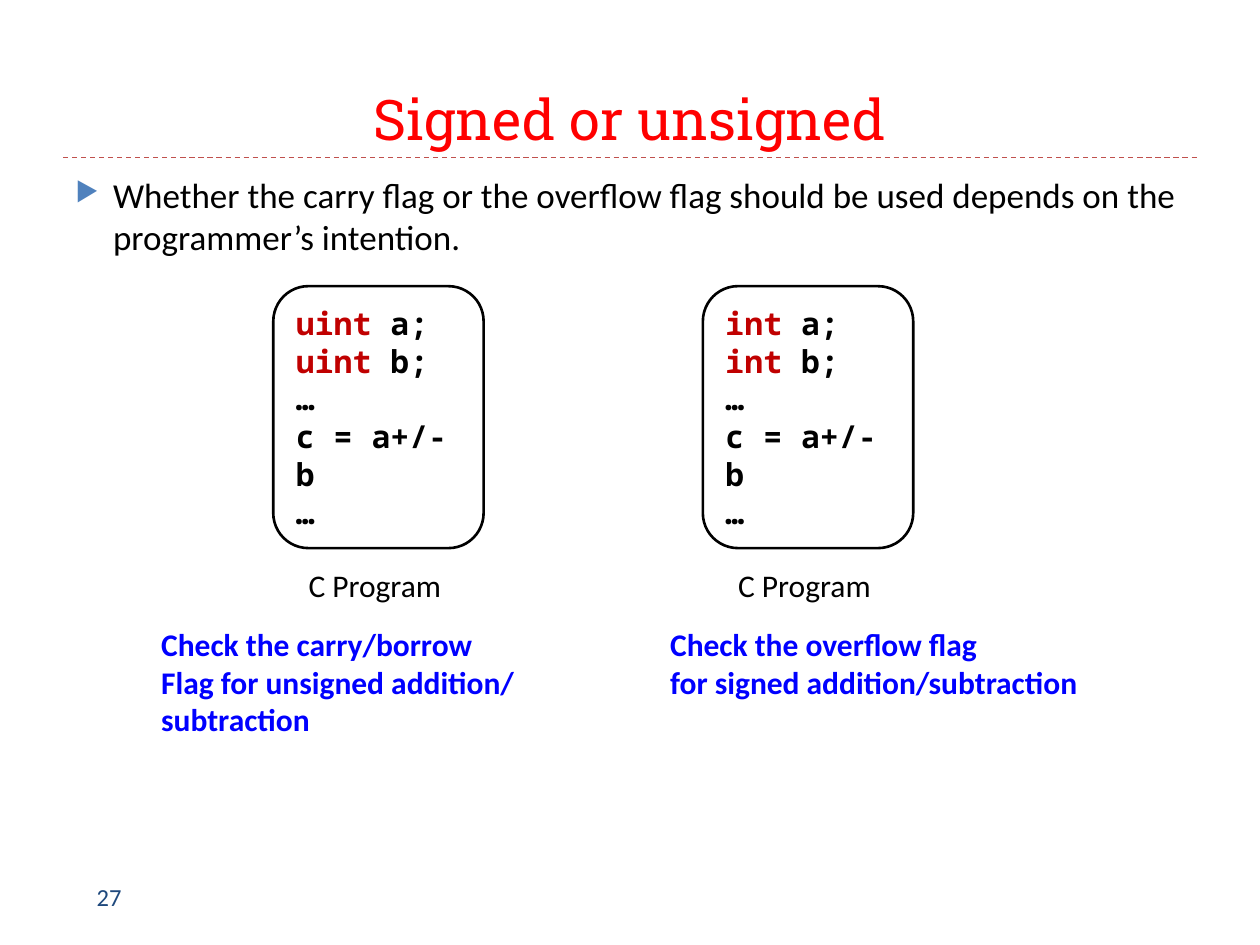
import pptx
import pptx.dml.color
import pptx.enum.dml
import pptx.enum.shapes
import pptx.enum.text
import pptx.oxml
import pptx.oxml.ns
import pptx.util
from pptx.util import Cm

COLORS = {
    "title": "FF0000", "rule": "C0504D", "bullet": "4F81BD", "number": "1F497D",
    "text": "000000", "keyword": "C00000", "note": "0000FF", "box": "FFFFFF",
}
BODY, CODE, HEAD = "Calibri", "Noto Sans Mono", "Roboto Slab"
ANCHOR = pptx.enum.text.MSO_ANCHOR


def rgb(name):
    return pptx.dml.color.RGBColor.from_string(COLORS[name])


def style(r, font, size, color, bold=False):
    r.font.name = font
    r.font.size = pptx.util.Pt(size)
    r.font.bold = bold
    r.font.color.rgb = rgb(color)


def add_text(s, box, text, size, color, font=BODY, bold=False, wrap=True):
    """Add a text box with one paragraph per line of text; return its frame."""
    tf = s.shapes.add_textbox(*map(Cm, box)).text_frame
    tf.text = text
    tf.word_wrap = wrap
    for p in tf.paragraphs:
        style(p.runs[0], font, size, color, bold)
    return tf


def add_title(s, text):
    tf = add_text(s, (1.27, 0.43, 22.86, 2.75), text, 32, "title", HEAD)
    tf.vertical_anchor = ANCHOR.BOTTOM
    tf.paragraphs[0].alignment = pptx.enum.text.PP_ALIGN.CENTER


def add_rule(s):
    """Draw the dashed line under the title."""
    line = s.shapes.add_connector(
        pptx.enum.shapes.MSO_CONNECTOR.STRAIGHT, Cm(1.27), Cm(3.18), Cm(24.13), Cm(3.18))
    line.line.color.rgb = rgb("rule")
    line.line.width = pptx.util.Pt(0.75)
    line.line.dash_style = pptx.enum.dml.MSO_LINE.DASH
    line._element.spPr.append(pptx.oxml.parse_xml(
        f'<a:effectLst {pptx.oxml.ns.nsdecls("a")}/>'))


def add_bullet(s, text):
    tf = add_text(s, (1.27, 3.38, 22.86, 2.54), text, 20, "text")
    p = tf.paragraphs[0]
    p.space_before = pptx.util.Pt(6)
    pPr = p._p.get_or_add_pPr()
    pPr.set("marL", str(Cm(0.76)))
    pPr.set("indent", str(-Cm(0.76)))
    ns = pptx.oxml.ns.nsdecls("a")
    for xml in (
        f'<a:buClr {ns}><a:srgbClr val="{COLORS["bullet"]}"/></a:buClr>',
        f'<a:buSzPct {ns} val="76000"/>',
        f'<a:buChar {ns} char="▶"/>',
    ):
        pPr.append(pptx.oxml.parse_xml(xml))


def add_program(s, left, keyword):
    """Draw a code box declaring a and b with the keyword, and its caption."""
    sp = s.shapes.add_shape(
        pptx.enum.shapes.MSO_SHAPE.ROUNDED_RECTANGLE, Cm(left), Cm(5.77), Cm(4.24), Cm(5.28))
    sp.shadow.inherit = False
    sp.fill.solid()
    sp.fill.fore_color.rgb = rgb("box")
    sp.line.color.rgb = rgb("text")
    sp.line.width = pptx.util.Pt(1.5)
    tf = sp.text_frame
    tf.word_wrap = True
    tf.vertical_anchor = ANCHOR.MIDDLE
    lines = [(keyword, "a;"), (keyword, "b;"), ("", "…"), ("", "c = a+/-b"), ("", "…")]
    for i, (word, rest) in enumerate(lines):
        p = tf.add_paragraph() if i else tf.paragraphs[0]
        p.alignment = pptx.enum.text.PP_ALIGN.LEFT
        if word:
            r = p.add_run()
            r.text = word + " "
            style(r, CODE, 18, "keyword", True)
        r = p.add_run()
        r.text = rest
        style(r, CODE, 18, "text", True)
    add_text(s, (left + 0.46, 11.28, 3.35, 1.02), "C Program", 18, "text", wrap=False)


def add_note(s, left, width, height, text, wrap):
    add_text(s, (left, 12.47, width, height), text, 18, "note", bold=True, wrap=wrap)


def main():
    prs = pptx.Presentation()
    prs.slide_width, prs.slide_height = Cm(25.4), Cm(19.05)
    s = prs.slides.add_slide(prs.slide_layouts[6])
    add_rule(s)
    add_title(s, "Signed or unsigned")
    add_text(s, (1.7, 17.65, 5.51, 1.02), "27", 14, "number")
    add_bullet(s, "Whether the carry flag or the overflow flag should be used "
                  "depends on the programmer’s intention.")
    add_program(s, 5.51, "uint")
    add_note(s, 3, 9.93, 2.57,
             "Check the carry/borrow\nFlag for unsigned addition/\nsubtraction", True)
    add_program(s, 14.17, "int")
    add_note(s, 13.26, 9.65, 1.8,
             "Check the overflow flag\nfor signed addition/subtraction", False)
    prs.save("out.pptx")


if __name__ == "__main__":
    main()
